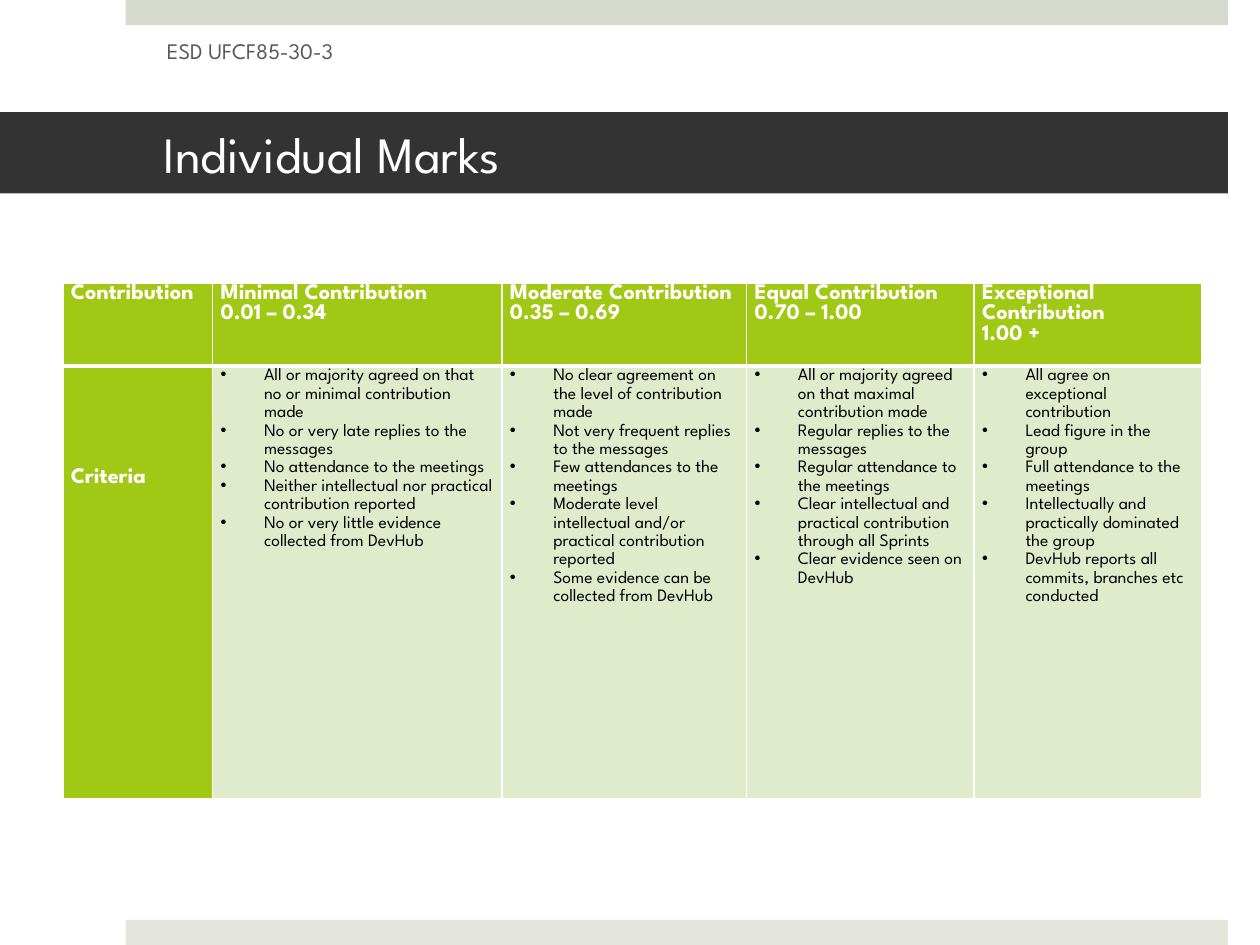
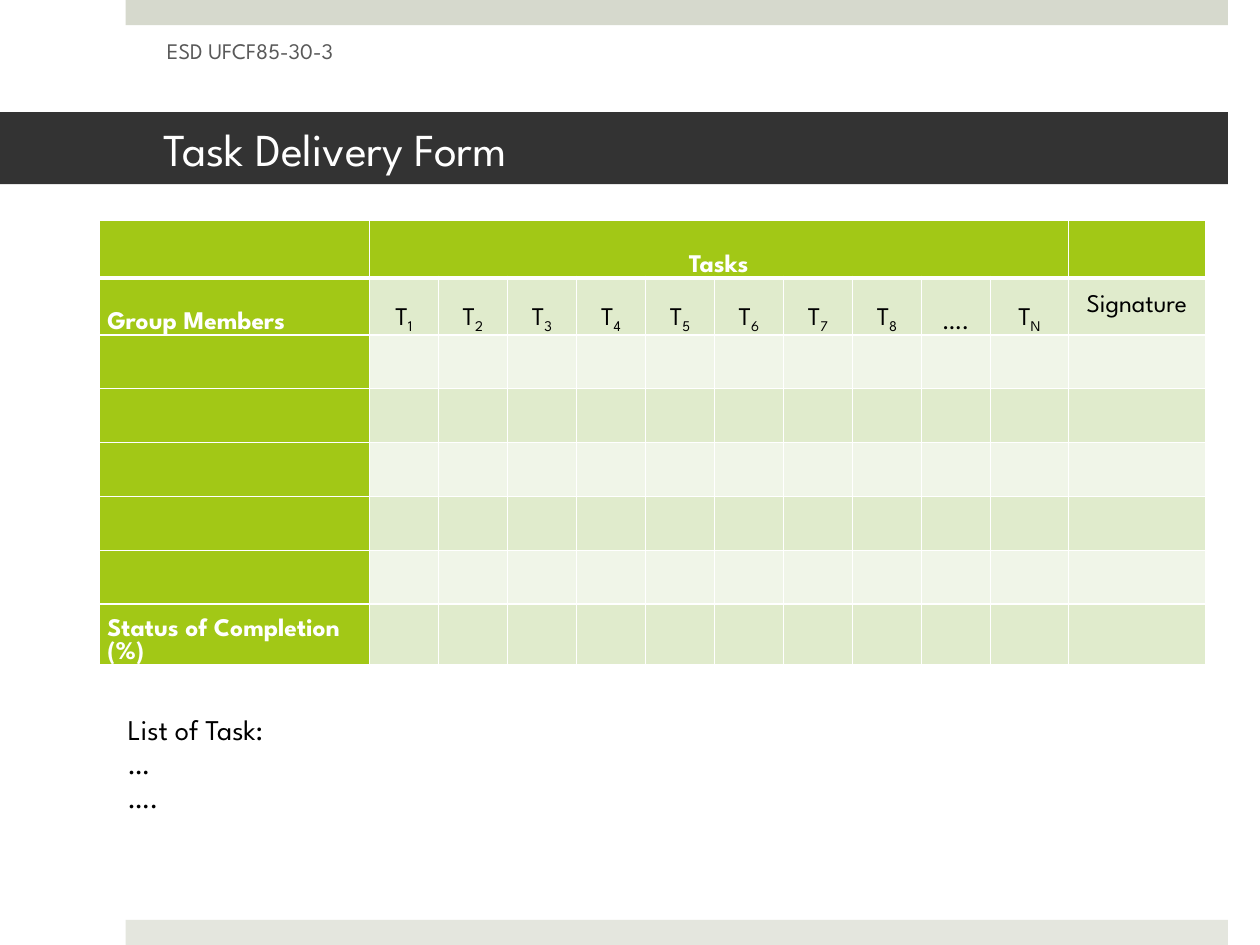
from lxml.etree import SubElement
from pptx import Presentation
from pptx.dml.color import RGBColor
from pptx.enum.shapes import MSO_SHAPE
from pptx.enum.text import MSO_ANCHOR, PP_ALIGN
from pptx.oxml.ns import qn
from pptx.util import Cm, Emu, Inches, Pt

FONT = "League Spartan"
WIDTH, HEIGHT = Cm(28), Cm(21)

WHITE = RGBColor(0xFF, 0xFF, 0xFF)
BLACK = RGBColor(0, 0, 0)
DARK = RGBColor(0x33, 0x33, 0x33)
GREY = RGBColor(0x59, 0x59, 0x59)
SAGE = RGBColor(0xD6, 0xD9, 0xCD)
STONE = RGBColor(0xE4, 0xE6, 0xDE)
LIME = RGBColor(0xA2, 0xC8, 0x16)
MINT = RGBColor(0xE0, 0xEB, 0xCC)
PALE = RGBColor(0xF0, 0xF5, 0xE8)

GRADES = [
    ("Minimal Contribution", "0.01 – 0.34", [
        "All or majority agreed on that no or minimal contribution made",
        "No or very late replies to the messages",
        "No attendance to the meetings",
        "Neither intellectual nor practical contribution reported",
        "No or very little evidence collected from DevHub"]),
    ("Moderate Contribution", "0.35 – 0.69", [
        "No clear agreement on the level of contribution made",
        "Not very frequent replies to the messages",
        "Few attendances to the meetings",
        "Moderate level intellectual and/or practical contribution reported",
        "Some evidence can be collected from DevHub"]),
    ("Equal Contribution", "0.70 – 1.00", [
        "All or majority agreed on that maximal contribution made",
        "Regular replies to the messages",
        "Regular attendance to the meetings",
        "Clear intellectual and practical contribution through all Sprints",
        "Clear evidence seen on DevHub"]),
    ("Exceptional Contribution", "1.00 +", [
        "All agree on exceptional contribution",
        "Lead figure in the group",
        "Full attendance to the meetings",
        "Intellectually and practically dominated the group",
        "DevHub reports all commits, branches etc conducted"]),
]
TASKS = [f"T_{n}" for n in range(1, 9)] + ["….", "T_N"]


def across(share):
    return Emu(round(WIDTH * share / 100))


def down(share):
    return Emu(round(HEIGHT * share / 100))


def place(left, top, width, height):
    return across(left), down(top), across(width), down(height)


def pad(frame, left, top, right, base):
    frame.margin_left, frame.margin_right = Inches(left), Inches(right)
    frame.margin_top, frame.margin_bottom = Inches(top), Inches(base)


def write(frame, lines, size=14, color=BLACK, bold=False,
          align=PP_ALIGN.LEFT, lead=None, dots=False):
    for n, line in enumerate(lines):
        para = frame.add_paragraph() if n else frame.paragraphs[0]
        para.alignment = align
        if lead:
            para.line_spacing = lead
        if dots:
            props = para._p.get_or_add_pPr()
            props.set("marL", str(Inches(0.38)))
            props.set("indent", str(-Inches(0.38)))
            SubElement(props, qn("a:buChar")).set("char", "•")
        for low, text in enumerate(line.split("_")):
            run = para.add_run()
            run.text = text
            run.font.name = FONT
            run.font.size = Pt(size)
            run.font.bold = bold
            run.font.color.rgb = color
            if low:
                run._r.get_or_add_rPr().set("baseline", "-25000")


def add_band(slide, spot, color):
    band = slide.shapes.add_shape(MSO_SHAPE.RECTANGLE, *place(*spot))
    band.shadow.inherit = False
    band.fill.solid()
    band.fill.fore_color.rgb = color
    band.line.fill.background()
    return band


def add_text(slide, spot, lines, anchor=MSO_ANCHOR.TOP, wrap=True, **form):
    frame = slide.shapes.add_textbox(*place(*spot)).text_frame
    frame.word_wrap = wrap
    frame.vertical_anchor = anchor
    write(frame, lines, **form)
    return frame


def add_page(deck, title, tall, size):
    slide = deck.slides.add_slide(deck.slide_layouts[6])
    add_band(slide, (9.98, 0, 87.48, 2.66), SAGE)
    add_band(slide, (9.98, 97.34, 87.48, 2.66), STONE)
    frame = add_band(slide, (0, 11.87, 97.46, tall), DARK).text_frame
    frame.word_wrap = True
    frame.vertical_anchor = MSO_ANCHOR.MIDDLE
    pad(frame, 1.43, 0.06, 0.33, 0.06)
    write(frame, [title], size=size, color=WHITE)
    tag = add_text(slide, (12.25, 2.7, 31.67, 5.32), ["ESD UFCF85-30-3"],
                   anchor=MSO_ANCHOR.MIDDLE, color=GREY)
    pad(tag, 0.11, 0.06, 0.11, 0.06)
    return slide


def edge(cell, row):
    props = cell._tc.get_or_add_tcPr()
    heavy = {0: "B", 1: "T"}.get(row)
    for side in "LRTB":
        line = SubElement(props, qn(f"a:ln{side}"))
        line.set("w", str(Pt(3 if side == heavy else 1)))
        fill = SubElement(line, qn("a:solidFill"))
        SubElement(fill, qn("a:srgbClr")).set("val", str(WHITE))


def add_grid(slide, left, top, cols, rows):
    spot = place(left, top, sum(cols), sum(rows))
    grid = slide.shapes.add_table(len(rows), len(cols), *spot).table
    grid.first_row = grid.horz_banding = False
    for col, share in zip(grid.columns, cols):
        col.width = across(share)
    for row, share in zip(grid.rows, rows):
        row.height = down(share)
    for r in range(len(rows)):
        for c in range(len(cols)):
            cell = grid.cell(r, c)
            edge(cell, r)
            cell.fill.solid()
            tint = MINT if r % 2 else PALE
            cell.fill.fore_color.rgb = LIME if r == 0 or c == 0 else tint
    return grid


def fill_cell(cell, lines, head=False, anchor=MSO_ANCHOR.TOP, drop=0, **form):
    pad(cell, 0.07, drop, 0.07, 0)
    cell.vertical_anchor = anchor
    write(cell.text_frame, lines, color=WHITE if head else BLACK,
          bold=head, **form)


def add_marks(deck):
    slide = add_page(deck, "Individual Marks", 8.59, 32)
    cols = [11.89, 22.96, 19.42, 18.06, 18.06]
    grid = add_grid(slide, 4.99, 30, cols, [8.77, 45.71])
    fill_cell(grid.cell(0, 0), ["Contribution"], head=True)
    fill_cell(grid.cell(1, 0), ["Criteria"], head=True, drop=0.89)
    for c, (name, span, points) in enumerate(GRADES, 1):
        fill_cell(grid.cell(0, c), [name, span], head=True)
        fill_cell(grid.cell(1, c), points, size=11, lead=1.15, dots=True)


def add_form(deck):
    slide = add_page(deck, "Task Delivery Form", 7.62, 28.8)
    cols = [21.42] + [5.48] * 9 + [6.17, 10.89]
    rows = [6.05] * 2 + [5.7] * 5 + [6.05]
    grid = add_grid(slide, 7.89, 23.34, cols, rows)
    grid.cell(0, 1).merge(grid.cell(0, len(TASKS)))
    base = {"size": 16, "anchor": MSO_ANCHOR.BOTTOM}
    mid = {"size": 16, "align": PP_ALIGN.CENTER}
    fill_cell(grid.cell(0, 1), ["Tasks"], head=True, **(base | mid))
    fill_cell(grid.cell(1, 0), ["Group Members"], head=True, **base)
    fill_cell(grid.cell(7, 0), ["Status of Completion (%)"], head=True, **base)
    for c, task in enumerate(TASKS, 1):
        fill_cell(grid.cell(1, c), [task], **(base | mid))
    fill_cell(grid.cell(1, 11), ["Signature"], anchor=MSO_ANCHOR.MIDDLE, **mid)
    add_text(slide, (9.26, 74.73, 14.34, 19.59),
             ["List of Task:", "…", "…."], wrap=False, size=18)


def main():
    deck = Presentation()
    deck.slide_width, deck.slide_height = WIDTH, HEIGHT
    add_marks(deck)
    add_form(deck)
    deck.save("out.pptx")


main()
